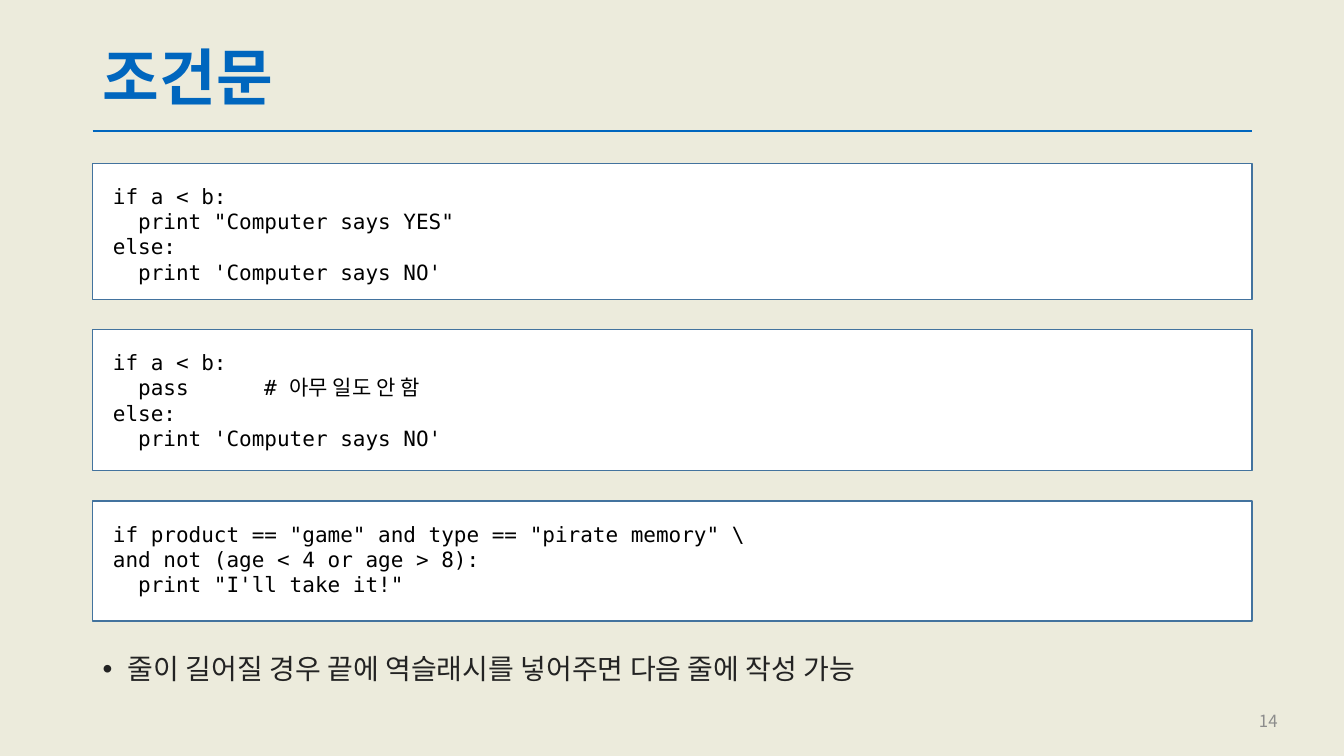
from lxml.etree import SubElement
from pptx import Presentation
from pptx.dml.color import RGBColor
from pptx.enum.shapes import MSO_CONNECTOR as Connector, MSO_SHAPE as Shape
from pptx.enum.text import MSO_ANCHOR as Anchor, PP_ALIGN as Align
from pptx.oxml.ns import qn
from pptx.util import Inches, Pt

TITLE = "조건문"
NOTE = "줄이 길어질 경우 끝에 역슬래시를 넣어주면 다음 줄에 작성 가능"
PAGE_NUMBER = "14"
CODE_BLOCKS = [
    (1.35, ["if a < b:",
            '  print "Computer says YES"',
            "else:",
            "  print 'Computer says NO'"]),
    (1.4, ["if a < b:",
           "  pass\t\t# 아무 일도 안 함",
           "else:",
           "  print 'Computer says NO'"]),
    (1.19, ['if product == "game" and type == "pirate memory" \\',
            "and not (age < 4 or age > 8):",
            '  print "I\'ll take it!"']),
]

COLORS = {"background": "ECEBDC", "accent": "0066BE", "panel": "FFFFFF",
          "border": "43739E", "code": "000000", "body": "232323", "number": "8C8C8C"}
SANS, MONO = "Noto Sans CJK KR", "DejaVu Sans Mono"
WIDTH, HEIGHT = 13.33, 7.5
LEFT, CONTENT = 0.92, 11.5
RULE_Y, CODE_TOP, GAP, PADDING = 1.3, 1.62, 0.3, 0.2

FONTS = {
    "title": {"name": SANS, "size": Pt(44), "bold": True},
    "code": {"name": MONO, "size": Pt(15)},
    "body": {"name": SANS, "size": Pt(20)},
    "number": {"name": SANS, "size": Pt(12)},
}


def color(name):
    return RGBColor.from_string(COLORS[name])


def apply(target, values):
    for name, value in values.items():
        setattr(target, name, value)


def write(box, lines, style, ink, frame_format, para_format):
    frame = box.text_frame
    apply(frame, {"word_wrap": True, **frame_format})
    for index, line in enumerate(lines):
        para = frame.add_paragraph() if index else frame.paragraphs[0]
        apply(para, para_format)
        span = para.add_run()
        span.text = line
        apply(span.font, FONTS[style])
        span.font.color.rgb = color(ink)
        SubElement(span.font._element, qn("a:ea"), typeface=SANS)
    return frame.paragraphs[0]


def add_text(page, place, line, style, ink, frame_format, para_format):
    box = page.shapes.add_textbox(*map(Inches, place))
    return write(box, [line], style, ink, frame_format, para_format)


def add_code(page, top, height, lines):
    panel = page.shapes.add_shape(Shape.RECTANGLE, *map(Inches, (LEFT, top, CONTENT, height)))
    panel.shadow.inherit = False
    panel.fill.solid()
    panel.fill.fore_color.rgb = color("panel")
    panel.line.color.rgb = color("border")
    panel.line.width = Pt(1)
    margins = {f"margin_{side}": Inches(PADDING) for side in ("left", "top", "right", "bottom")}
    write(panel, lines, "code", "code",
          {"vertical_anchor": Anchor.TOP, **margins}, {"alignment": Align.LEFT})


def add_rule(page):
    rule = page.shapes.add_connector(
        Connector.STRAIGHT, *map(Inches, (LEFT, RULE_Y, LEFT + CONTENT, RULE_Y)))
    rule.line.color.rgb = color("accent")
    rule.line.width = Pt(1.5)
    SubElement(rule._element.spPr, qn("a:effectLst"))


def add_bullet(para):
    settings = para._p.get_or_add_pPr()
    settings.set("marL", str(Inches(0.25)))
    settings.set("indent", str(-Inches(0.25)))
    SubElement(settings, qn("a:buFont"), typeface="Arial")
    SubElement(settings, qn("a:buChar"), char="•")


def main():
    deck = Presentation()
    apply(deck, {"slide_width": Inches(WIDTH), "slide_height": Inches(HEIGHT)})
    page = deck.slides.add_slide(deck.slide_layouts[6])
    page.background.fill.solid()
    page.background.fill.fore_color.rgb = color("background")

    add_rule(page)
    add_text(page, (LEFT, 0.4, CONTENT, 0.8), TITLE, "title", "accent",
             {"vertical_anchor": Anchor.MIDDLE}, {"line_spacing": 0.9})
    top = CODE_TOP
    for height, lines in CODE_BLOCKS:
        add_code(page, top, height, lines)
        top += height + GAP
    note = add_text(page, (LEFT, 6.45, CONTENT * 0.9, 0.6), NOTE, "body", "body",
                    {"vertical_anchor": Anchor.TOP},
                    {"line_spacing": 0.9, "space_before": Pt(10)})
    add_bullet(note)
    add_text(page, (9.77, 6.95, 3, 0.4), PAGE_NUMBER, "number", "number",
             {"vertical_anchor": Anchor.MIDDLE}, {"alignment": Align.RIGHT})
    deck.save("out.pptx")


if __name__ == "__main__":
    main()
